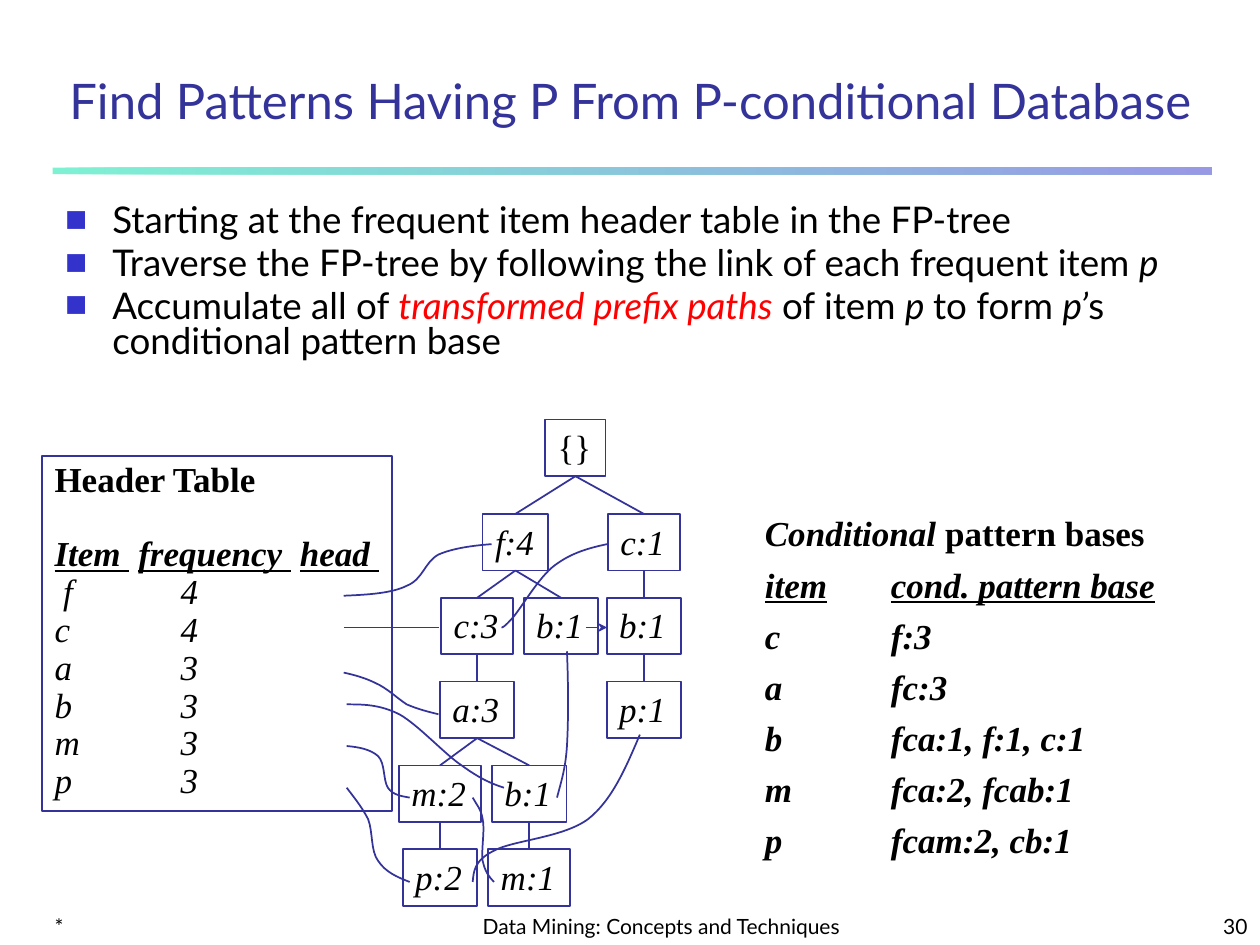
from lxml import etree
from pptx import Presentation
from pptx.dml.color import RGBColor
from pptx.enum.shapes import MSO_CONNECTOR as CONN, MSO_SHAPE as SHAPE
from pptx.enum.text import MSO_ANCHOR as ANCHOR, PP_ALIGN as ALIGN
from pptx.oxml.ns import qn
from pptx.util import Cm, Pt

BLACK = RGBColor(0x00, 0x00, 0x00)
NAVY = RGBColor(0x33, 0x33, 0x99)
BLUE = RGBColor(0x33, 0x33, 0xCC)
MINT = RGBColor(0x00, 0xE4, 0xA8)
RED = RGBColor(0xFF, 0x00, 0x00)

LATO = dict(name="Lato", size=Pt(21), color=BLACK)
TIMES = dict(name="Times New Roman", size=Pt(20), color=BLACK)
ITALIC = dict(italic=True)
HEADING = dict(bold=True, italic=True, underline=True)


def write(tf, paragraphs, font, tab=None, **layout):
    """Fill a text frame; each paragraph is a list of (text, format) runs."""
    for i, runs in enumerate(paragraphs):
        p = tf.paragraphs[0] if i == 0 else tf.add_paragraph()
        for key, value in layout.items():
            setattr(p, key, value)
        if i == 0:
            p.space_before = Pt(0)
        if tab:
            tabs = etree.SubElement(p._p.get_or_add_pPr(), qn("a:tabLst"))
            etree.SubElement(tabs, qn("a:tab"), pos=str(Cm(tab)), algn="l")
        for text, extra in runs:
            r = p.add_run()
            r.text = text
            for key, value in {**font, **extra}.items():
                if key == "color":
                    r.font.color.rgb = value
                else:
                    setattr(r.font, key, value)


def draw_line(x1, y1, x2, y2):
    line = s.shapes.add_connector(CONN.STRAIGHT, Cm(x1), Cm(y1), Cm(x2), Cm(y2))
    line.line.color.rgb = NAVY
    line.line.width = Pt(1)
    etree.SubElement(line._element.spPr, qn("a:effectLst"))
    return line


prs = Presentation()
prs.slide_width, prs.slide_height = Cm(25.4), Cm(19.05)
s = prs.slides.add_slide(prs.slide_layouts[1])

# Gradient rule under the title
bar = s.shapes.add_shape(SHAPE.RECTANGLE, Cm(1.06), Cm(3.38), Cm(23.37), Cm(0.13))
bar.shadow.inherit = False
bar.line.fill.background()
bar.fill.gradient()
bar.fill.gradient_angle = 0
for stop, color in zip(bar.fill.gradient_stops, (MINT, BLUE)):
    stop.color.rgb = color
for clr in bar._element.spPr.iter(qn("a:srgbClr")):
    etree.SubElement(clr, qn("a:alpha"), val="50000")

# Footer line
for text, x, w, align in (
    ("*", 0.85, 5.28, ALIGN.LEFT),
    ("Data Mining: Concepts and Techniques", 9.31, 8.05, ALIGN.CENTER),
    ("30", 20.11, 5.29, ALIGN.RIGHT),
):
    tf = s.shapes.add_textbox(Cm(x), Cm(17.98), Cm(w), Cm(1.07)).text_frame
    tf.word_wrap = True
    tf.vertical_anchor = ANCHOR.BOTTOM
    write(tf, [[(text, {})]], {**LATO, "size": Pt(12)}, alignment=align)

# Title
title = s.shapes.title
title.left, title.top, title.width, title.height = Cm(0.85), Cm(0.85), Cm(23.71), Cm(1.9)
title.text_frame.vertical_anchor = ANCHOR.BOTTOM
write(title.text_frame, [[("Find Patterns Having P From P-conditional Database", {})]],
      {**LATO, "size": Pt(28), "color": NAVY}, alignment=ALIGN.CENTER, line_spacing=0.9)

# Bullet list
body = s.placeholders[1]
body.left, body.top, body.width, body.height = Cm(1.06), Cm(4.02), Cm(23.28), Cm(4.23)
write(body.text_frame, [
    [("Starting at the frequent item header table in the FP-tree", {})],
    [("Traverse the FP-tree by following the link of each frequent item ", {}),
     ("p", ITALIC)],
    [("Accumulate all of ", {}),
     ("transformed prefix paths", dict(italic=True, color=RED)),
     (" of item ", {}), ("p ", ITALIC), ("to form ", {}), ("p’", ITALIC),
     ("s conditional pattern base", {})],
], LATO, line_spacing=0.8, space_before=Pt(4.2))
for p in body.text_frame.paragraphs:
    pPr = p._p.get_or_add_pPr()
    pPr.set("marL", str(Cm(0.95)))
    pPr.set("indent", str(-Cm(0.95)))
    clr = etree.SubElement(pPr, qn("a:buClr"))
    etree.SubElement(clr, qn("a:srgbClr"), val=str(BLUE))
    etree.SubElement(pPr, qn("a:buSzPct"), val="100000")
    etree.SubElement(pPr, qn("a:buChar"), char="■")

# Conditional pattern bases
tf = s.shapes.add_textbox(Cm(15.17), Cm(10.19), Cm(9.25), Cm(7.72)).text_frame
tf.word_wrap = True
bases = ["c\tf:3", "a\tfc:3", "b\tfca:1, f:1, c:1", "m\tfca:2, fcab:1", "p\tfcam:2, cb:1"]
write(tf, [
    [("Conditional ", ITALIC), ("pattern bases", {})],
    [("item\tcond. pattern base", HEADING)],
    *[[(row, ITALIC)] for row in bases],
], {**TIMES, "bold": True}, tab=2.54, line_spacing=0.8, space_before=Pt(10))
tf.paragraphs[0].line_spacing = 1.0

# FP-tree nodes: label, centre x, row, parent index
ROOT_TOP, ROW_TOP, ROW_STEP, NODE_H = 8.46, 10.36, 1.69, 1.14
WIDTHS = {"{": 1.22, "f": 1.32, "c": 1.45, "a": 1.5, "b": 1.5, "p": 1.5, "m": 1.65}
nodes = [
    ("{}", 11.6, 0, None), ("f:4", 10.39, 1, 0), ("c:1", 12.98, 1, 0),
    ("c:3", 9.62, 2, 1), ("b:1", 11.31, 2, 1), ("b:1", 12.98, 2, 2),
    ("a:3", 9.62, 3, 3), ("p:1", 12.98, 3, 5), ("m:2", 8.87, 4, 6),
    ("b:1", 10.67, 4, 6), ("p:2", 8.87, 5, 8), ("m:1", 10.67, 5, 9),
]
tops = [ROOT_TOP] + [ROW_TOP + ROW_STEP * i for i in range(5)]
for label, x, row, parent in nodes:
    w = WIDTHS[label[0]]
    sp = s.shapes.add_shape(SHAPE.RECTANGLE, Cm(x - w / 2), Cm(tops[row]), Cm(w), Cm(NODE_H))
    sp.shadow.inherit = False
    sp.fill.background()
    sp.line.color.rgb = NAVY
    sp.line.width = Pt(1)
    sp.text_frame.word_wrap = True
    sp.text_frame.vertical_anchor = ANCHOR.TOP
    write(sp.text_frame, [[(label, dict(italic=row > 0))]], TIMES, alignment=ALIGN.LEFT)
    if parent is not None:
        _, parent_x, parent_row, _ = nodes[parent]
        draw_line(parent_x, tops[parent_row] + NODE_H, x, tops[row])

# Header table
sp = s.shapes.add_shape(SHAPE.RECTANGLE, Cm(0.85), Cm(9.19), Cm(7.06), Cm(7.16))
sp.shadow.inherit = False
sp.fill.background()
sp.line.color.rgb = NAVY
sp.line.width = Pt(1)
tf = sp.text_frame
tf.vertical_anchor = ANCHOR.TOP
counts = [" f\t4", "c\t4", "a\t3", "b\t3", "m\t3", "p\t3"]
write(tf, [
    [("Header Table", dict(bold=True))],
    [(text, HEADING) for text in ("Item", " ", "frequency", " ", "head ")],
    *[[(row, ITALIC)] for row in counts],
], TIMES, tab=2.54, alignment=ALIGN.LEFT, line_spacing=0.9)
heading = tf.paragraphs[1]
heading.space_before = Pt(21)
for r in heading.runs[1::2]:  # widen the underlined gaps
    r.font._element.set("spc", "500")

# Node links: start point, then two control points and an end point per segment
links = [
    [(6.93, 12.01), (7.42, 11.99), (7.9, 11.96), (8.2, 11.81), (8.53, 11.68), (8.56, 11.33),
     (8.84, 11.18), (9.14, 11.05), (9.53, 11), (9.91, 10.97)],
    [(10.11, 12.65), (10.13, 12.65), (10.16, 12.65), (10.34, 12.45), (10.52, 12.24),
     (10.87, 11.63), (11.18, 11.4), (11.51, 11.15), (11.86, 11.05), (12.24, 10.97)],
    [(6.93, 13.56), (7.16, 13.61), (7.37, 13.67), (7.57, 13.77), (7.8, 13.87), (8, 14.07),
     (8.2, 14.2), (8.43, 14.3), (8.64, 14.35), (8.84, 14.4)],
    [(6.99, 14.2), (7.32, 14.2), (7.65, 14.2), (8.05, 14.4), (8.43, 14.61), (8.97, 15.21),
     (9.32, 15.44), (9.68, 15.7), (9.91, 15.8), (10.16, 15.88)],
    [(11.23, 16.08), (11.3, 15.8), (11.4, 15.52), (11.43, 15.04), (11.46, 14.53),
     (11.46, 13.84), (11.43, 13.13)],
    [(6.99, 15.04), (7.24, 15.06), (7.47, 15.11), (7.62, 15.24), (7.77, 15.39), (7.72, 15.72),
     (7.82, 15.88), (7.92, 16.03), (8.1, 16.05), (8.26, 16.08)],
    [(9.53, 16.08), (9.6, 16.21), (9.7, 16.31), (9.73, 16.51), (9.78, 16.71), (9.7, 17.15),
     (9.73, 17.35), (9.78, 17.58), (9.86, 17.68), (9.96, 17.78)],
    [(6.99, 15.88), (7.14, 16.08), (7.29, 16.26), (7.42, 16.51), (7.52, 16.76), (7.47, 17.15),
     (7.62, 17.35), (7.77, 17.58), (8, 17.68), (8.26, 17.78)],
    [(9.53, 17.78), (9.55, 17.58), (9.55, 17.35), (9.96, 17.15), (10.34, 16.94),
     (11.35, 16.89), (11.86, 16.51), (12.34, 16.13), (12.62, 15.47), (12.9, 14.81)],
]
for link in links:
    start, *points = [(Cm(x), Cm(y)) for x, y in link]
    builder = s.shapes.build_freeform(*start)
    builder.add_line_segments(points, close=False)
    curve = builder.convert_to_shape()
    curve.shadow.inherit = False
    curve.fill.background()
    curve.line.color.rgb = NAVY
    curve.line.width = Pt(1)
    # Turn each three line points into one Bézier segment
    outline = next(curve._element.iter(qn("a:path")))
    steps = outline.findall(qn("a:lnTo"))
    for i in range(0, len(steps), 3):
        bezier = etree.SubElement(outline, qn("a:cubicBezTo"))
        for step in steps[i:i + 3]:
            bezier.append(step[0])
            outline.remove(step)

# Straight links of c and b
draw_line(6.93, 12.65, 8.84, 12.65)
arrow = draw_line(11.81, 12.65, 12.24, 12.65)
ln = arrow._element.spPr.find(qn("a:ln"))
etree.SubElement(ln, qn("a:tailEnd"), type="stealth")

prs.save("out.pptx")
